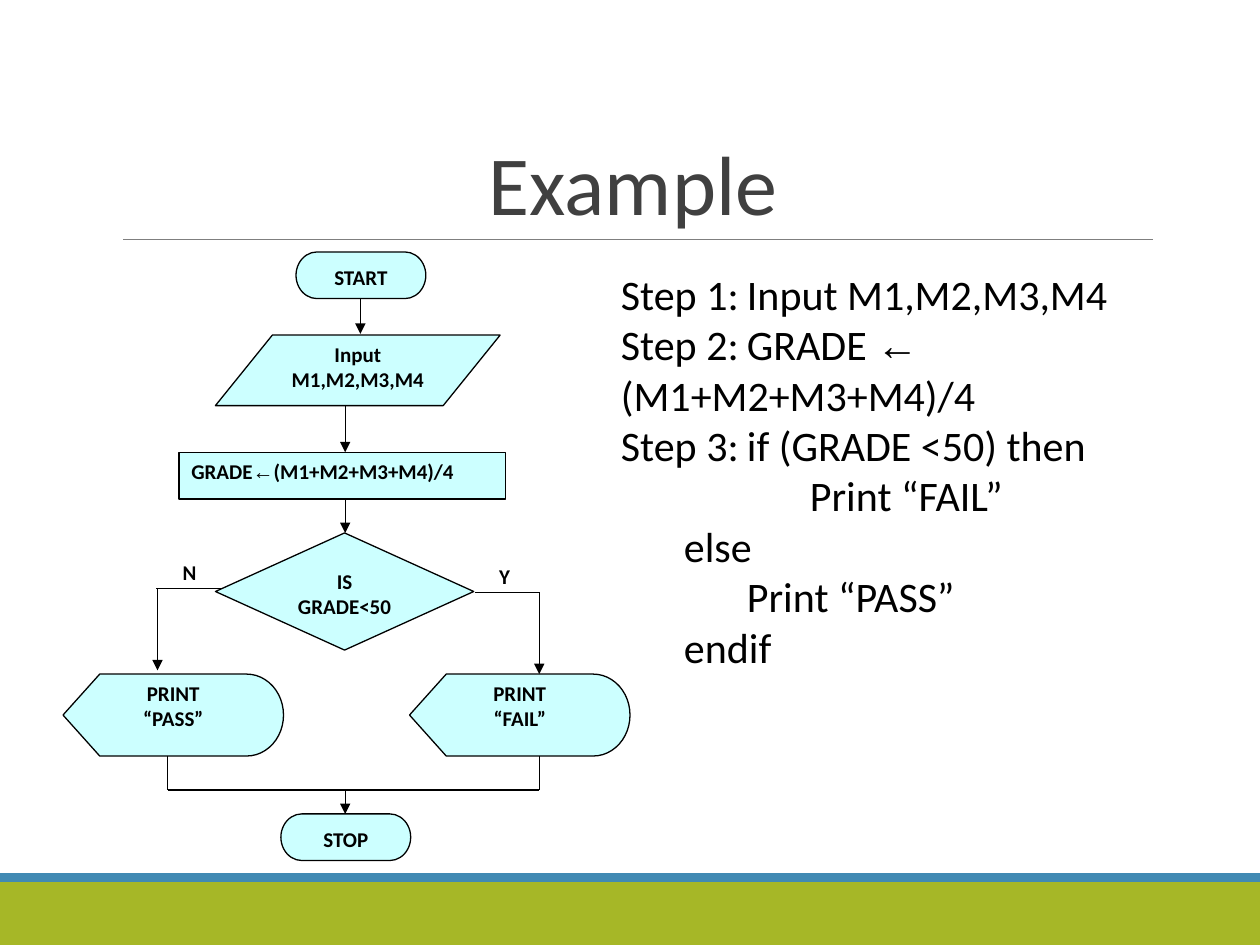
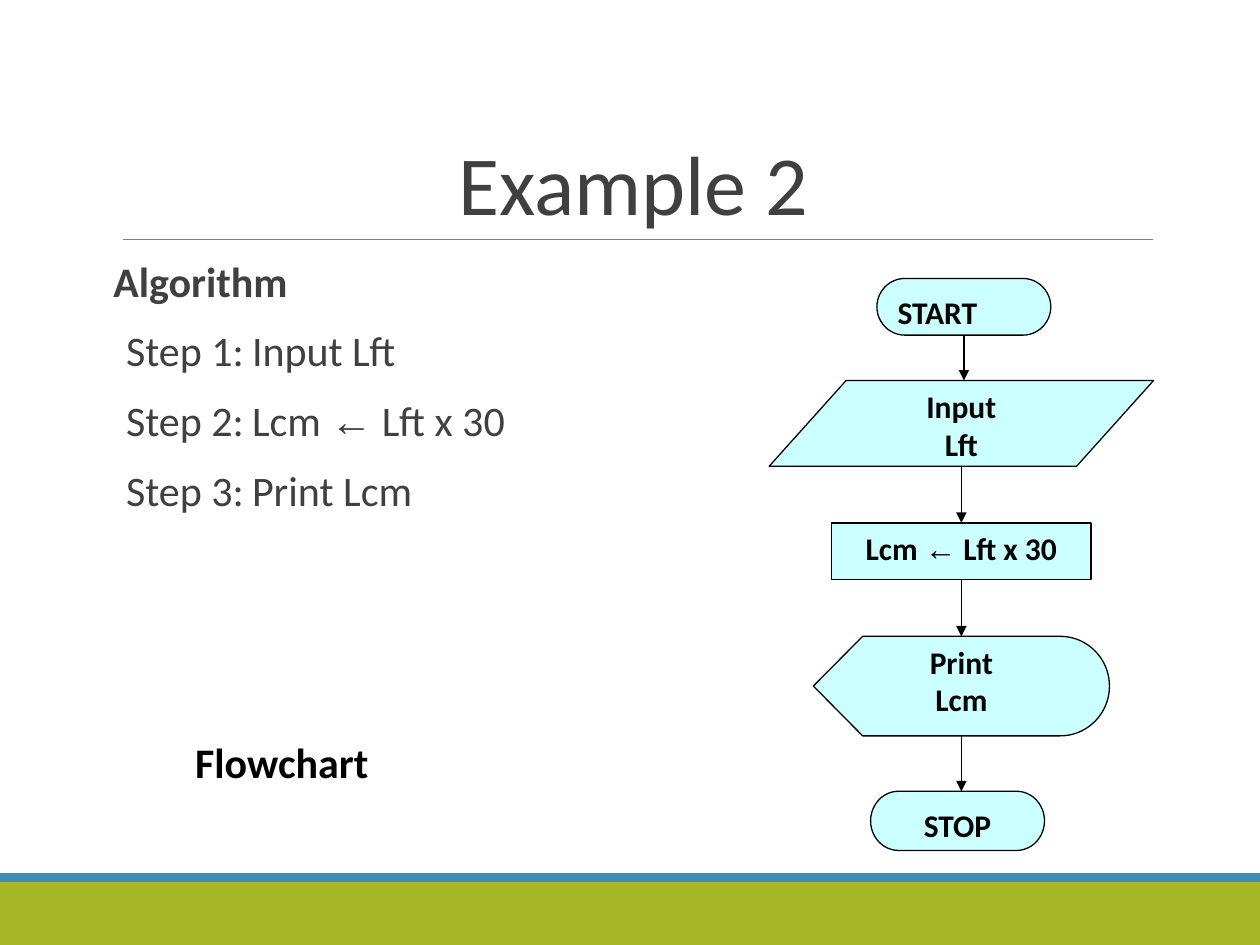
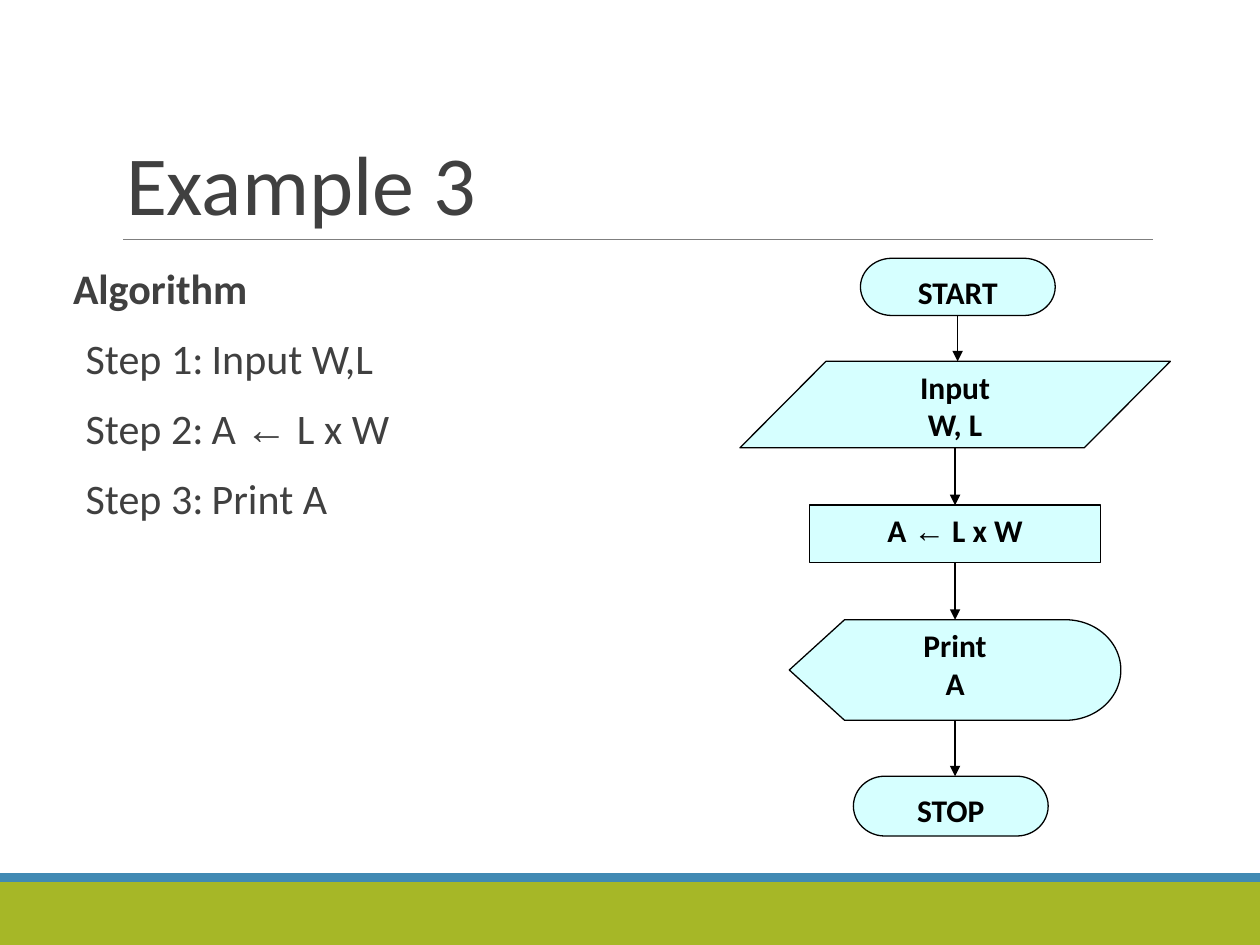
from dataclasses import dataclass

from lxml.etree import SubElement
from pptx import Presentation
from pptx.dml.color import RGBColor
from pptx.enum.shapes import MSO_CONNECTOR, MSO_SHAPE
from pptx.enum.text import MSO_ANCHOR, MSO_AUTO_SIZE, PP_ALIGN
from pptx.oxml.ns import qn
from pptx.util import Inches, Pt


@dataclass(frozen=True)
class Theme:
    green: RGBColor = RGBColor(0xA6, 0xB7, 0x27)
    blue: RGBColor = RGBColor(0x41, 0x8A, 0xB3)
    rule: RGBColor = RGBColor(0x7F, 0x7F, 0x7F)
    ink: RGBColor = RGBColor(0x40, 0x40, 0x40)
    black: RGBColor = RGBColor(0, 0, 0)
    node: RGBColor = RGBColor(0xCC, 0xFF, 0xFF)
    font: str = "Calibri"
    arrow_font: str = "Arial"
    title: int = 48
    body: int = 24
    chart: int = 18
    small: int = 12


theme = Theme()
presentation = Presentation()
presentation.slide_width = Inches(10)
presentation.slide_height = Inches(7.5)
column = presentation.slide_width / 100
row = presentation.slide_height / 75


def grid(across, down, *more):
    """Turn columns and rows, given in turn, into slide lengths."""
    return [round(value * (row if index % 2 else column))
            for index, value in enumerate((across, down, *more))]


def write(paragraph, text, size, color=theme.black, bold=False, indent=0, tab=None):
    """Set a paragraph, with each arrow sign in a run of its own font."""
    properties = paragraph._p.get_or_add_pPr()
    properties.set("marL", str(round(indent * column)))
    properties.set("indent", "0")
    SubElement(properties, qn("a:buNone"))
    if tab:
        tabs = SubElement(properties, qn("a:tabLst"))
        SubElement(tabs, qn("a:tab"), pos=str(round(tab * column)), algn="l")
    before, arrow, after = text.partition("←")
    for part in filter(None, (before, arrow, after)):
        run = paragraph.add_run()
        run.text = part
        run.font.name = theme.arrow_font if part == "←" else theme.font
        run.font.size = Pt(size)
        run.font.bold = bold and part != "←"
        run.font.color.rgb = color


# Slides with their titles
slides = []
for title, layout, alignment in (
    ("Example", 5, PP_ALIGN.CENTER),
    ("Example 2", 1, PP_ALIGN.CENTER),
    ("Example 3", 1, PP_ALIGN.LEFT),
):
    slide = presentation.slides.add_slide(presentation.slide_layouts[layout])
    slides.append(slide)
    heading = slide.shapes.title
    heading.left, heading.top, heading.width, heading.height = grid(9, 3.1, 82.5, 15.9)
    heading.text_frame.vertical_anchor = MSO_ANCHOR.BOTTOM
    heading.text_frame.auto_size = MSO_AUTO_SIZE.NONE
    paragraph = heading.text_frame.paragraphs[0]
    write(paragraph, title, theme.title, theme.ink)
    paragraph.alignment = alignment
    paragraph.line_spacing = 0.85
example, feet, area = slides

# Footer bands and title rule, moved to the master so that all slides share them
shared = []
for box, color in (((0, 70, 100, 5), theme.green), ((0, 69.3, 100, 0.7), theme.blue)):
    band = example.shapes.add_shape(MSO_SHAPE.RECTANGLE, *grid(*box))
    band.fill.solid()
    band.fill.fore_color.rgb = color
    band.line.fill.background()
    band.shadow.inherit = False
    shared.append(band)
rule = example.shapes.add_connector(MSO_CONNECTOR.STRAIGHT, *grid(9.8, 19, 91.5, 19))
rule.line.color.rgb = theme.rule
rule.line.width = Pt(0.5)
SubElement(rule.element.spPr, qn("a:effectLst"))
shared.append(rule)
for number, shape in enumerate(shared, start=20):
    shape.element.xpath(".//p:cNvPr")[0].set("id", str(number))
    presentation.slide_master.shapes.element.append(shape.element)

# Algorithm lists: text and tab stop of each step
for slide, box, steps in (
    (feet, (9, 20.2, 82.5, 44), (
        ("Step 1:\tInput Lft", 11.9),
        ("Step 2:\tLcm ← Lft x 30", 20),
        ("Step 3:\tPrint Lcm", 20),
    )),
    (area, (5.8, 20.8, 90, 42.5), (
        ("Step 1:\tInput W,L", 20),
        ("Step 2:\tA ← L x W", 20),
        ("Step 3:\tPrint A", 20),
    )),
):
    body = slide.placeholders[1]
    body.left, body.top, body.width, body.height = grid(*box)
    frame = body.text_frame
    frame.auto_size = MSO_AUTO_SIZE.NONE
    frame.margin_left = frame.margin_right = 0
    write(frame.paragraphs[0], "Algorithm", theme.body, theme.ink, bold=True)
    for text, tab in steps:
        write(frame.add_paragraph(), text, theme.body, theme.ink, indent=1, tab=tab)
    for position, paragraph in enumerate(frame.paragraphs):
        paragraph.line_spacing = 0.9
        paragraph.space_before = Pt(12 if position else 0)
        paragraph.space_after = Pt(2)

# Pseudocode of the first example: text and indent
pseudocode = example.shapes.add_textbox(*grid(48.3, 20.8, 50, 39.1)).text_frame
pseudocode.word_wrap = True
for position, (text, indent) in enumerate((
    ("Step 1:\tInput M1,M2,M3,M4", 0),
    ("Step 2:\tGRADE ← (M1+M2+M3+M4)/4", 0),
    ("Step 3:\tif (GRADE <50) then", 0),
    ("Print “FAIL”", 15),
    ("else", 5),
    ("Print “PASS”", 10),
    ("endif", 5),
)):
    paragraph = pseudocode.add_paragraph() if position else pseudocode.paragraphs[0]
    write(paragraph, text, theme.body, indent=indent, tab=15)

# Small labels: slide, box, text, size, alignment
for slide, box, text, size, alignment in (
    (example, (37.5, 44.2, 5.1, 2.8), "Y", theme.small, PP_ALIGN.CENTER),
    (example, (12.5, 43.9, 5.1, 2.8), "N", theme.small, PP_ALIGN.CENTER),
    (feet, (14.5, 58, 24.2, 5), "Flowchart", theme.body, PP_ALIGN.LEFT),
):
    frame = slide.shapes.add_textbox(*grid(*box)).text_frame
    frame.word_wrap = True
    write(frame.paragraphs[0], text, size, bold=True)
    frame.paragraphs[0].alignment = alignment

# Flowchart of the first example
terminator, data = MSO_SHAPE.FLOWCHART_TERMINATOR, MSO_SHAPE.FLOWCHART_DATA
process, display = MSO_SHAPE.FLOWCHART_PROCESS, MSO_SHAPE.FLOWCHART_DISPLAY
axis, pass_axis, fail_axis, join = 27.4, 13.3, 42.8, 62.7
nodes = [(example, kind, box, lines, theme.small, alignment) for kind, box, lines, alignment in (
    (terminator, (23.5, 20, 10.3, 3.7), ["START"], PP_ALIGN.CENTER),
    (data, (17.1, 26.6, 22.6, 5.6), ["Input", "M1,M2,M3,M4"], PP_ALIGN.CENTER),
    (process, (14.2, 35.9, 25.9, 3.7), ["GRADE←(M1+M2+M3+M4)/4"], PP_ALIGN.LEFT),
    (MSO_SHAPE.FLOWCHART_DECISION, (17.1, 42.3, 20.5, 9.3), ["IS", "GRADE<50"],
     PP_ALIGN.CENTER),
    (display, (5, 53.5, 17.5, 6.5), ["PRINT", "“PASS”"], PP_ALIGN.CENTER),
    (display, (32.5, 53.5, 17.5, 6.5), ["PRINT", "“FAIL”"], PP_ALIGN.CENTER),
    (terminator, (22.3, 64.6, 10.3, 3.7), ["STOP"], PP_ALIGN.CENTER),
)]
links = [(example, ends, arrow) for ends, arrow in (
    ((28.6, 23.7, 28.6, 26.5), True),
    ((axis, 32.2, axis, 35.9), True),
    ((axis, 39.6, axis, 42.3), True),
    ((17.5, 46.7, 12.4, 46.7), False),
    ((12.5, 46.7, 12.5, 53.2), True),
    ((37.7, 47, fail_axis, 47), False),
    ((fail_axis, 47, fail_axis, 53.5), True),
    ((pass_axis, 60, pass_axis, join), False),
    ((fail_axis, 60, fail_axis, join), False),
    ((pass_axis, join, fail_axis, join), False),
    ((axis, join, axis, 64.6), True),
)]

# Straight flowcharts: one chain of five nodes, placed and stretched on each slide
chain = (  # kind, shift from the axis, rows below the start, width, height
    (terminator, 0.2, 0, 13.8, 4.5),
    (data, 0, 8.1, 30.5, 6.8),
    (process, 0, 19.4, 20.6, 4.5),
    (display, 0, 28.4, 23.5, 7.9),
    (terminator, -0.3, 40.7, 13.8, 4.7),
)
for slide, axis, top, widen, heighten, start_alignment, texts in (
    (feet, 76.3, 22.1, 1, 1, PP_ALIGN.LEFT,
     (["START"], ["Input", "Lft"], ["Lcm ← Lft x 30"], ["Print", "Lcm"], ["STOP"])),
    (area, 75.8, 20.5, 1.12, 1.01, PP_ALIGN.CENTER,
     (["START"], ["Input", "W, L"], ["A ← L x W"], ["Print", "A"], ["STOP"])),
):
    previous = None
    for (kind, shift, down, width, height), lines in zip(chain, texts):
        center = axis + shift * widen
        y = top + down * heighten
        box = (center - width * widen / 2, y, width * widen, height * heighten)
        alignment = PP_ALIGN.CENTER if previous else start_alignment
        nodes.append((slide, kind, box, lines, theme.chart, alignment))
        if previous:
            x, bottom = previous
            links.append((slide, (x, bottom, x, y), True))
        previous = (axis + max(shift, 0), y + height * heighten)

for slide, kind, box, lines, size, alignment in nodes:
    node = slide.shapes.add_shape(kind, *grid(*box))
    node.shadow.inherit = False
    node.fill.solid()
    node.fill.fore_color.rgb = theme.node
    if slide is area:
        fill_color = node.element.spPr.find(qn("a:solidFill"))[0]
        SubElement(fill_color, qn("a:alpha"), val="80000")
    node.line.color.rgb = theme.black
    node.line.width = Pt(0.75)
    frame = node.text_frame
    frame.vertical_anchor = MSO_ANCHOR.TOP
    for position, text in enumerate(lines):
        paragraph = frame.add_paragraph() if position else frame.paragraphs[0]
        write(paragraph, text, size, bold=True)
        paragraph.alignment = alignment

for slide, ends, arrow in links:
    link = slide.shapes.add_connector(MSO_CONNECTOR.STRAIGHT, *grid(*ends))
    link.line.color.rgb = theme.black
    link.line.width = Pt(0.75)
    if arrow:
        SubElement(link.line._get_or_add_ln(), qn("a:tailEnd"), type="triangle")
    SubElement(link.element.spPr, qn("a:effectLst"))

presentation.save("out.pptx")
